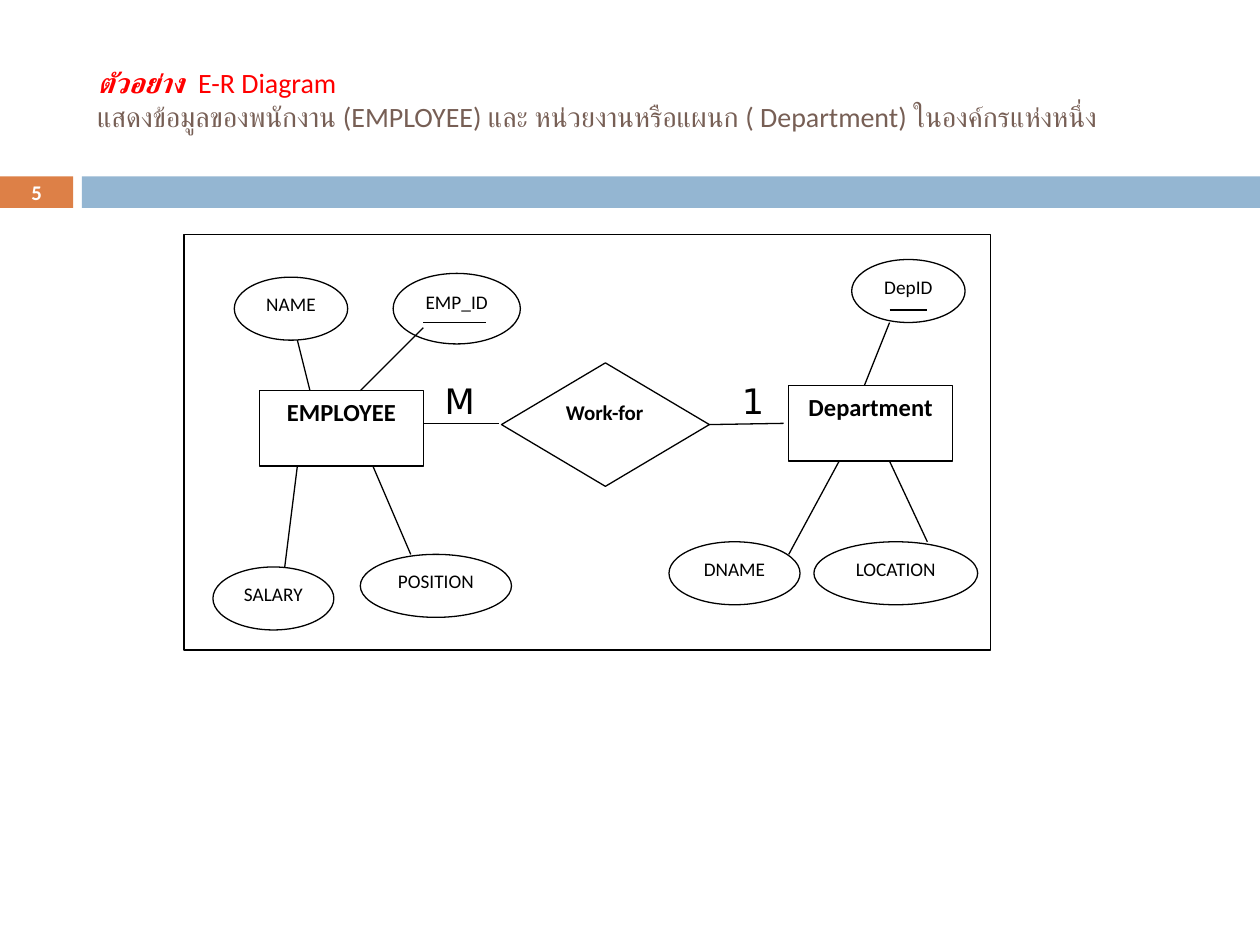
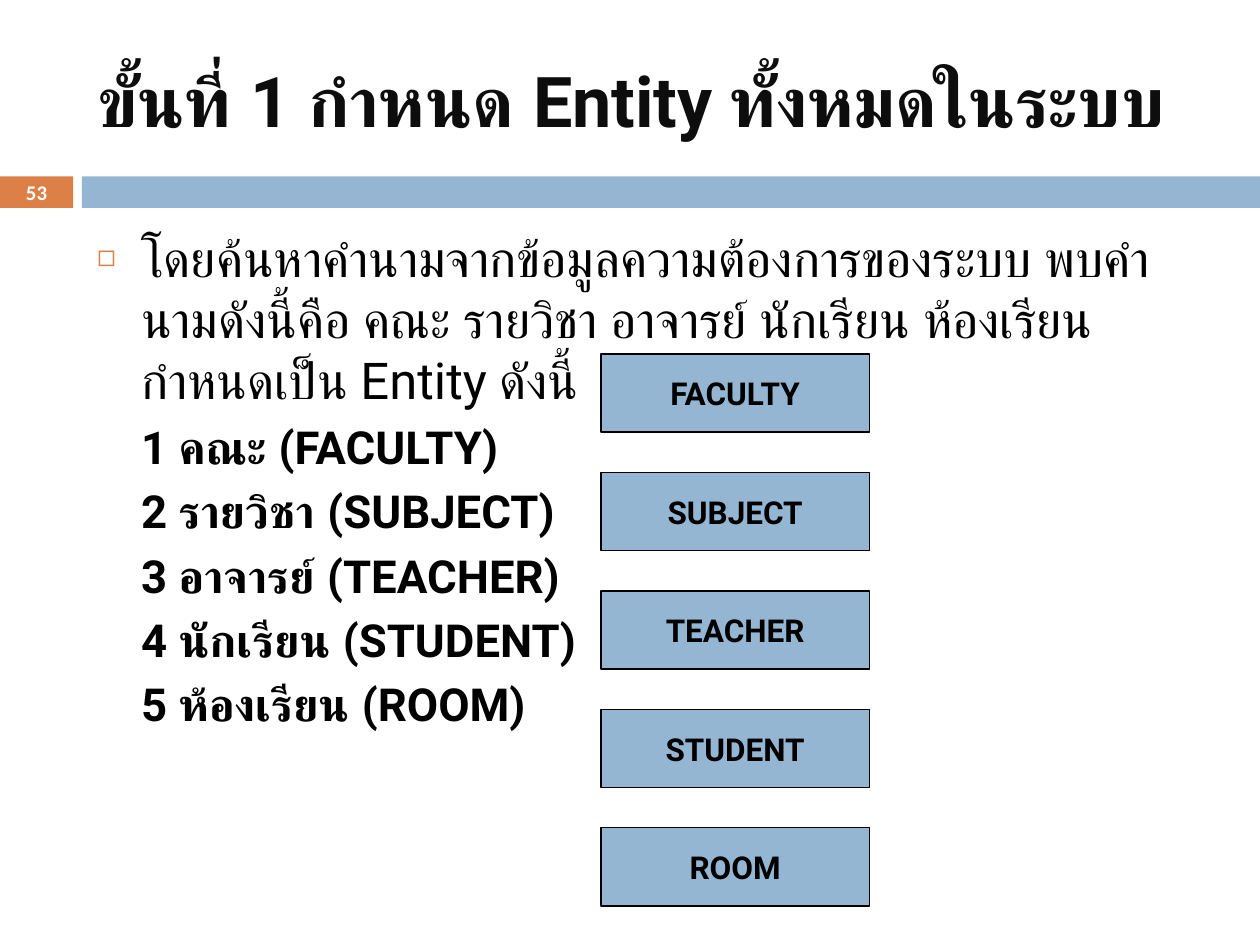
from lxml import etree
from pptx import Presentation
from pptx import util as u
from pptx.dml.color import RGBColor
from pptx.enum import shapes, text
from pptx.oxml import ns

PX = 9144  # EMU in one px, 100 px to the inch
COLORS = {
    "black": "000000", "white": "FFFFFF", "ink": "0D0D0D", "red": "FF0000",
    "brown": "775F55", "orange": "DD8047", "blue": "94B6D2",
}
SHAPE = shapes.MSO_SHAPE
ALIGN = text.PP_ALIGN
ANCHOR = text.MSO_ANCHOR
TITLE_ONLY, TITLE_AND_BODY = 5, 1


def emu(*lengths):
    return [u.Emu(n * PX) for n in lengths]


def rgb(name):
    return RGBColor.from_string(COLORS[name])


class Deck:
    """Holds the presentation, its style and the current slide."""

    def __init__(self):
        self.prs = Presentation()
        self.prs.slide_width, self.prs.slide_height = emu(1000, 750)
        self.slide = None

    def new_slide(self, layout, number):
        """Start a slide with the two bands and its number."""
        self.slide = self.prs.slides.add_slide(self.prs.slide_layouts[layout])
        self.shape(SHAPE.RECTANGLE, (0, 140, 58, 25), "orange", outline=None)
        self.shape(SHAPE.RECTANGLE, (65, 140, 935, 25), "blue", outline=None)
        self.label((0, 139, 58, 27), str(number), 11.9, "Calibri", "white",
                   bold=True, align=ALIGN.CENTER, anchor=ANCHOR.MIDDLE, wrap=True)

    def style(self, r, size, font="Calibri", color="black", bold=False, italic=False):
        r.font.size = u.Pt(size)
        r.font.name = font
        r.font.color.rgb = rgb(color)
        r.font.bold, r.font.italic = bold, italic

    def caption(self, sp, words, size, font="Calibri", color="black", bold=False,
                align=ALIGN.LEFT, anchor=ANCHOR.TOP, wrap=True):
        tf = sp.text_frame
        tf.text = words
        tf.word_wrap, tf.vertical_anchor = wrap, anchor
        p = tf.paragraphs[0]
        p.alignment = align
        self.style(p.runs[0], size, font, color, bold)

    def label(self, box, words, size, font, color="black", wrap=False, **look):
        sp = self.slide.shapes.add_textbox(*emu(*box))
        self.caption(sp, words, size, font, color, wrap=wrap, **look)

    def shape(self, kind, box, fill="white", outline="black"):
        sp = self.slide.shapes.add_shape(kind, *emu(*box))
        sp.shadow.inherit = False
        sp.fill.solid()
        sp.fill.fore_color.rgb = rgb(fill)
        if outline:
            sp.line.color.rgb = rgb(outline)
            sp.line.width = u.Pt(0.75)
        else:
            sp.line.fill.background()
        return sp

    def line(self, *ends):
        sp = self.slide.shapes.add_connector(shapes.MSO_CONNECTOR.STRAIGHT, *emu(*ends))
        sp.line.color.rgb = rgb("black")
        sp.line.width = u.Pt(0.75)
        etree.SubElement(sp._element.spPr, ns.qn("a:effectLst"))

    def placeholder(self, index, box, anchor):
        sp = self.slide.placeholders[index]
        sp.left, sp.top, sp.width, sp.height = emu(*box)
        tf = sp.text_frame
        tf.word_wrap, tf.vertical_anchor = True, anchor
        tf.auto_size = text.MSO_AUTO_SIZE.NONE
        return tf

    def title(self, *lines):
        """Each line is a list of (words, look) runs."""
        p = self.placeholder(0, (67, 25, 892, 108), ANCHOR.MIDDLE).paragraphs[0]
        p.alignment = ALIGN.LEFT
        for i, runs in enumerate(lines):
            if i:
                p.add_line_break()
            for words, look in runs:
                r = p.add_run()
                r.text = words
                self.style(r, **look)

    def body(self, intro, items):
        """A bulleted introduction followed by bold items without bullets."""
        tf = self.placeholder(1, (67, 175, 892, 552), ANCHOR.TOP)
        for i, words in enumerate([intro, *items]):
            p = tf.add_paragraph() if i else tf.paragraphs[0]
            p.text = words
            p.level = 1 if i else 0
            p.space_before = u.Pt(5.5 if i else 7)
            self.style(p.runs[0], 26 if i else 29, "Roboto", bold=i > 0)
            margin, indent = emu(91, -56) if i else emu(35, -35)
            pPr = p._p.get_or_add_pPr()
            pPr.set("marL", str(margin))
            pPr.set("indent", str(indent))
            if i:
                etree.SubElement(pPr, ns.qn("a:buNone"))
            else:
                color = etree.SubElement(pPr, ns.qn("a:buClr"))
                etree.SubElement(color, ns.qn("a:srgbClr"), val=COLORS["orange"])
                etree.SubElement(pPr, ns.qn("a:buSzPct"), val="60000")
                etree.SubElement(pPr, ns.qn("a:buChar"), char="◻")


def er_diagram(deck):
    deck.new_slide(TITLE_ONLY, 5)
    deck.title(
        [("ตัวอย่าง ", dict(size=16, color="red", bold=True, italic=True)),
         (" E-R Diagram", dict(size=16, color="red"))],
        [("แสดงข้อมูลของพนักงาน (EMPLOYEE) และ หน่วยงานหรือแผนก ( Department) "
          "ในองค์กรแห่งหนึ่ง", dict(size=16, color="brown"))])
    deck.shape(SHAPE.RECTANGLE, (146, 186, 640, 330))

    relation = deck.shape(SHAPE.FLOWCHART_DECISION, (398, 288, 165, 98))
    deck.caption(relation, "Work-for", 12, bold=True)
    for name, left, top in [("EMPLOYEE", 206, 310), ("Department", 626, 306)]:
        sp = deck.shape(SHAPE.RECTANGLE, (left, top, 130, 60))
        deck.caption(sp, name, 14, bold=True, align=ALIGN.CENTER)

    attributes = {
        "DNAME": (531, 430, 104, 50), "NAME": (186, 220, 90, 50),
        "POSITION": (286, 440, 120, 50), "SALARY": (169, 450, 96, 50),
        "DepID": (676, 206, 90, 50), "EMP_ID": (312, 217, 101, 56),
        "LOCATION": (646, 430, 130, 50),
    }
    for name, box in attributes.items():
        deck.caption(deck.shape(SHAPE.OVAL, box), name, 11, align=ALIGN.CENTER)

    relation_links = [(563, 337, 622, 336), (396, 336, 336, 336)]
    attribute_links = [
        (336, 260, 286, 310), (236, 270, 246, 310), (236, 370, 226, 450),
        (326, 440, 296, 370), (666, 366, 626, 440), (736, 430, 706, 366),
        (706, 256, 686, 306),
    ]
    key_underlines = [(336, 256, 386, 256), (706, 246, 736, 246)]
    for ends in relation_links + attribute_links + key_underlines:
        deck.line(*ends)

    deck.label((343, 296, 44, 44), "M", 20, "DejaVu Sans")
    deck.label((579, 296, 36, 44), "1", 20, "DejaVu Sans")


def entity_list(deck):
    entities = [("คณะ", "FACULTY"), ("รายวิชา", "SUBJECT"), ("อาจารย์", "TEACHER"),
                ("นักเรียน", "STUDENT"), ("ห้องเรียน", "ROOM")]
    deck.new_slide(TITLE_AND_BODY, 53)
    deck.title([("ขั้นที่ 1 กำหนด Entity ทั้งหมดในระบบ",
                 dict(size=40, font="Roboto", color="ink", bold=True))])
    deck.body(
        "โดยค้นหาคำนามจากข้อมูลความต้องการของระบบ พบคำนามดังนี้คือ "
        "คณะ รายวิชา อาจารย์ นักเรียน ห้องเรียน กำหนดเป็น Entity ดังนี้",
        [f"{i} {thai} ({name})" for i, (thai, name) in enumerate(entities, 1)])
    for row, (_, name) in enumerate(entities):
        sp = deck.shape(SHAPE.RECTANGLE, (477, 281 + 94 * row, 213, 62), "blue")
        deck.caption(sp, name, 18, "Roboto", bold=True, align=ALIGN.CENTER,
                     anchor=ANCHOR.MIDDLE, wrap=False)


def main():
    deck = Deck()
    er_diagram(deck)
    entity_list(deck)
    deck.prs.save("out.pptx")


if __name__ == "__main__":
    main()
